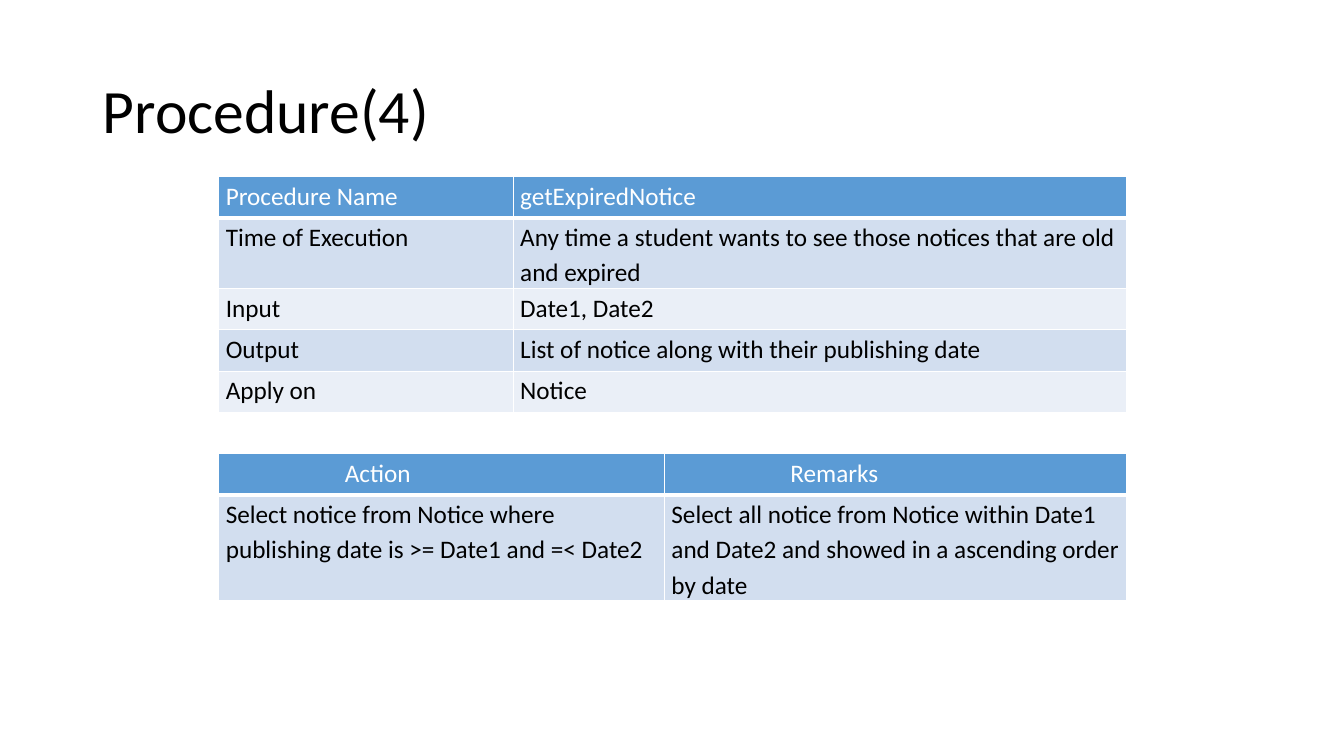
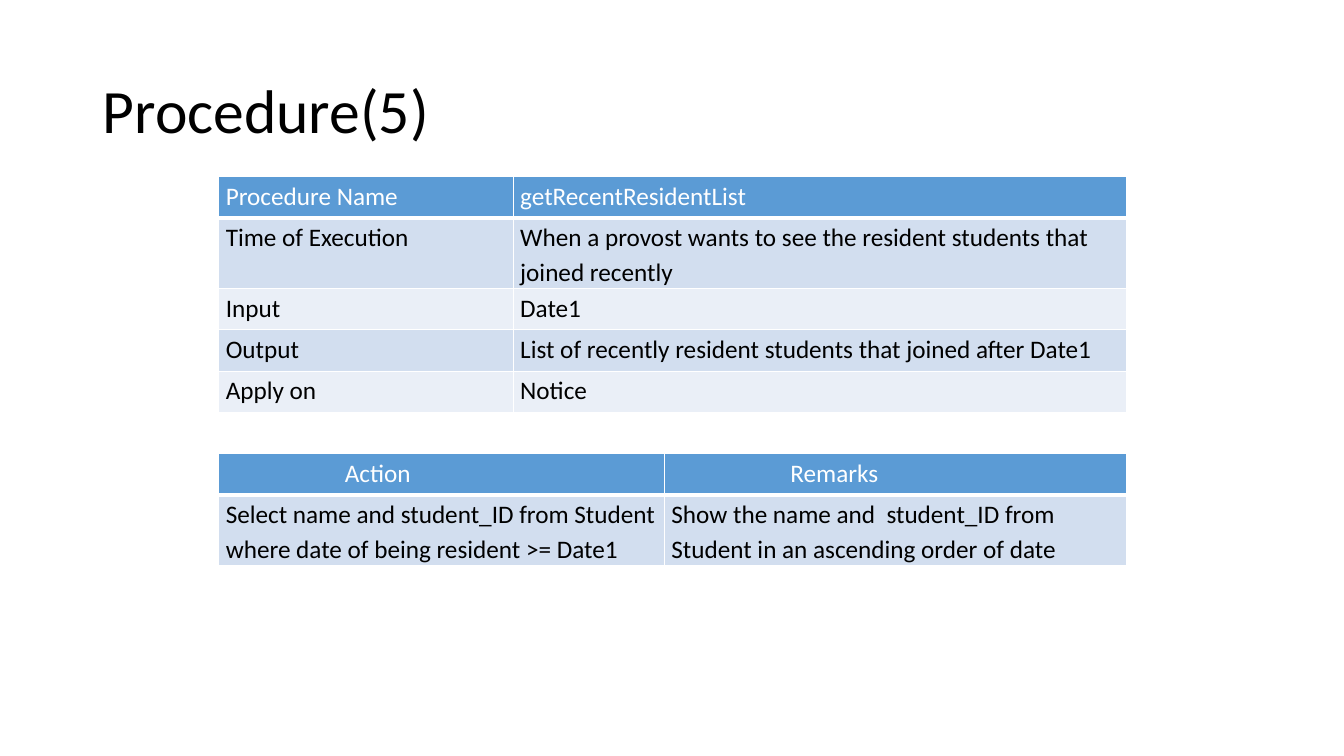
from lxml import etree
from pptx import Presentation
from pptx.dml.color import RGBColor
from pptx.enum.text import MSO_ANCHOR, PP_ALIGN
from pptx.oxml.ns import qn
from pptx.util import Inches, Pt

LEFT, TOP = PP_ALIGN.LEFT, MSO_ANCHOR.TOP
MIDDLE = MSO_ANCHOR.MIDDLE
TITLE_ONLY = 5
FONT = "Calibri"
COLORS = {
    "text": "000000",
    "header_text": "FFFFFF",
    "header": "5B9BD5",
    "odd_row": "D2DEEF",
    "even_row": "EAEFF7",
    "border": "FFFFFF",
}
TABLE_LEFT = 2.17
DETAILS_TOP, DETAILS_WIDTHS = 1.75, (2.92, 6.08)
ACTIONS_TOP, ACTIONS_WIDTHS = 4.5, (4.42, 4.58)
ROW_HEIGHT = 0.41
CELL_INSET, HEADING_INSET = 0.07, 1.25

PROCEDURES = [
    {
        "title": "Procedure(4)",
        "name": "getExpiredNotice",
        "time": "Any time a student wants to see those notices that are old and expired",
        "input": "Date1, Date2",
        "output": "List of notice along with their publishing date",
        "action": "Select notice from Notice where publishing date is >= Date1 and =< Date2",
        "remarks": "Select all notice from Notice within Date1 and Date2 "
                   "and showed in a ascending order by date",
    },
    {
        "title": "Procedure(5)",
        "name": "getRecentResidentList",
        "time": "When a provost wants to see the resident students that joined recently",
        "input": "Date1",
        "output": "List of recently resident students that joined after Date1",
        "action": "Select name and student_ID from Student "
                  "where date of being resident >= Date1",
        "remarks": "Show the name and  student_ID from Student in an ascending order of date",
    },
]


def write_text(frame, text, size=18, color="text", line_spacing=1.15, anchor=TOP):
    frame.word_wrap = True
    frame.vertical_anchor = anchor
    paragraph = frame.paragraphs[0]
    paragraph.alignment = LEFT
    paragraph.line_spacing = line_spacing
    run = paragraph.add_run()
    run.text = text
    run.font.name = FONT
    run.font.size = Pt(size)
    run.font.bold = False
    run.font.color.rgb = RGBColor.from_string(COLORS[color])


def add_title(slide, text):
    title = slide.shapes.title
    title.left, title.top = Inches(0.92), Inches(0.4)
    title.width, title.height = Inches(11.5), Inches(1.45)
    write_text(title.text_frame, text, size=44, line_spacing=0.9, anchor=MIDDLE)


def set_borders(cell, bottom_width):
    """Draw the four cell edges; must run before the cell gets its fill."""
    properties = cell._tc.get_or_add_tcPr()
    for edge, width in (("lnL", 1), ("lnR", 1), ("lnT", 1), ("lnB", bottom_width)):
        line = etree.SubElement(properties, qn(f"a:{edge}"), w=str(Pt(width)))
        fill = etree.SubElement(line, qn("a:solidFill"))
        etree.SubElement(fill, qn("a:srgbClr"), val=COLORS["border"])


def format_cell(cell, text, row_index, left_inset):
    is_header = row_index == 0
    cell.margin_left = Inches(left_inset)
    cell.margin_right = Inches(CELL_INSET)
    cell.margin_top = cell.margin_bottom = 0
    set_borders(cell, bottom_width=3 if is_header else 1)
    band = "header" if is_header else "odd_row" if row_index % 2 else "even_row"
    cell.fill.solid()
    cell.fill.fore_color.rgb = RGBColor.from_string(COLORS[band])
    write_text(cell.text_frame, text, color="header_text" if is_header else "text")
    cell.vertical_anchor = TOP


def add_banded_table(slide, rows, top, widths, header_inset=CELL_INSET):
    table = slide.shapes.add_table(
        len(rows), len(widths), Inches(TABLE_LEFT), Inches(top),
        Inches(sum(widths)), Inches(ROW_HEIGHT * len(rows)),
    ).table
    table.horz_banding = False
    for column, width in zip(table.columns, widths):
        column.width = Inches(width)
    for row_index, texts in enumerate(rows):
        table.rows[row_index].height = Inches(ROW_HEIGHT)
        left_inset = CELL_INSET if row_index else header_inset
        for column_index, text in enumerate(texts):
            format_cell(table.cell(row_index, column_index), text, row_index, left_inset)


def add_procedure_slide(presentation, procedure):
    slide = presentation.slides.add_slide(presentation.slide_layouts[TITLE_ONLY])
    add_title(slide, procedure["title"])
    details = [
        ("Procedure Name", procedure["name"]),
        ("Time of Execution", procedure["time"]),
        ("Input", procedure["input"]),
        ("Output", procedure["output"]),
        ("Apply on", "Notice"),
    ]
    add_banded_table(slide, details, DETAILS_TOP, DETAILS_WIDTHS)
    actions = [("Action", "Remarks"), (procedure["action"], procedure["remarks"])]
    add_banded_table(slide, actions, ACTIONS_TOP, ACTIONS_WIDTHS, HEADING_INSET)


def main():
    presentation = Presentation()
    presentation.slide_width = Inches(13.33)
    presentation.slide_height = Inches(7.5)
    for procedure in PROCEDURES:
        add_procedure_slide(presentation, procedure)
    presentation.save("out.pptx")


if __name__ == "__main__":
    main()
